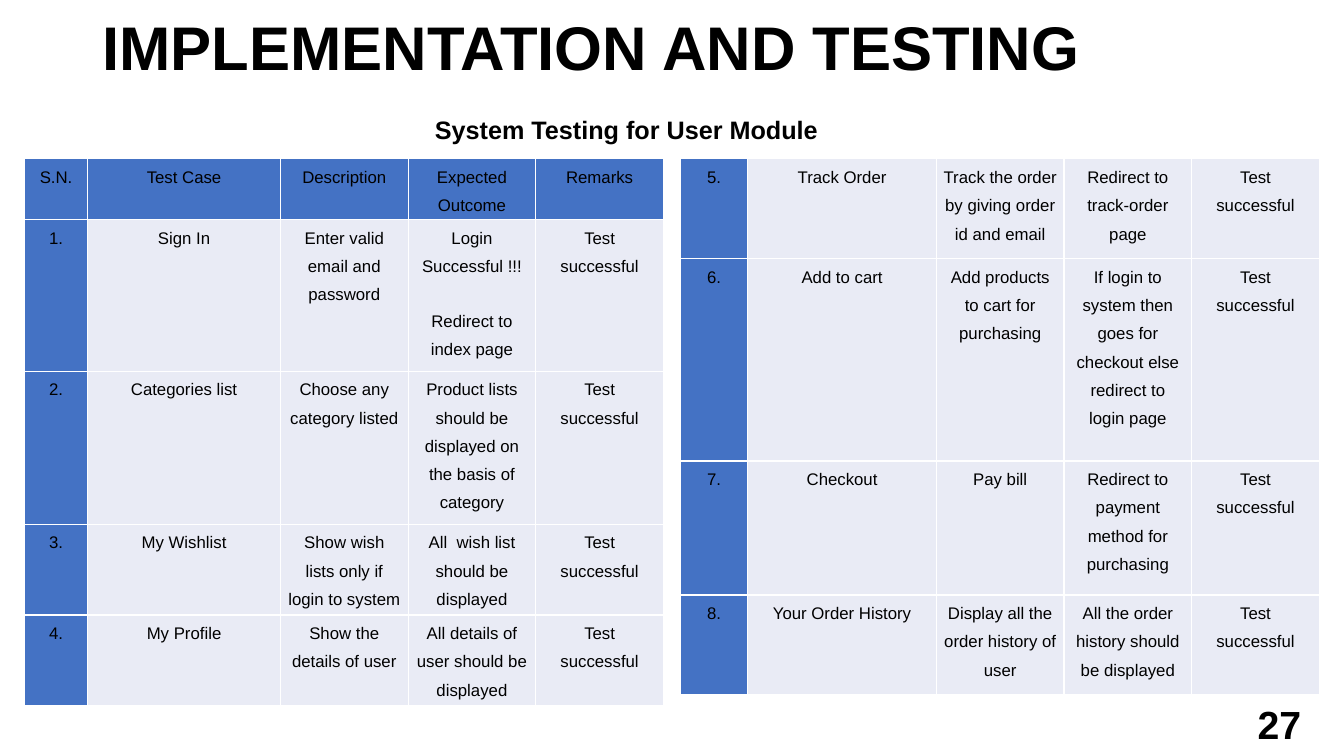
from lxml.etree import SubElement
from pptx import Presentation
from pptx.dml.color import RGBColor
from pptx.enum.text import MSO_ANCHOR, MSO_AUTO_SIZE, PP_ALIGN
from pptx.oxml.ns import qn
from pptx.util import Pt

BLACK = RGBColor(0x00, 0x00, 0x00)
WHITE = RGBColor(0xFF, 0xFF, 0xFF)
BLUE = RGBColor(0x44, 0x72, 0xC4)
PALE = RGBColor(0xE9, 0xEB, 0xF5)

PASSED = "Test successful"
OUTCOME_WIDTHS = [91.2] * 3

EARLY_TESTS = [
    ["S.N.", "Test Case", "Description", "Expected Outcome", "Remarks"],
    ["1.", "Sign In", "Enter valid email and password",
     "Login Successful !!!\nRedirect to index page", PASSED],
    ["2.", "Categories list", "Choose any category listed",
     "Product lists should be displayed on the basis of category", PASSED],
    ["3.", "My Wishlist", "Show wish lists only if login to system",
     "All  wish list should be displayed", PASSED],
    ["4.", "My Profile", "Show the details of user",
     "All details of user should be displayed", PASSED],
]
LATER_TESTS = [
    ["5.", "Track Order", "Track the order by giving order id and email",
     "Redirect to track-order page", PASSED],
    ["6.", "Add to cart", "Add products to cart for purchasing",
     "If login to system then goes for checkout else redirect to login page", PASSED],
    ["7.", "Checkout", "Pay bill",
     "Redirect to payment method for purchasing", PASSED],
    ["8.", "Your Order History", "Display all the order history of user",
     "All the order history should be displayed", PASSED],
]


def apply(target, values):
    for name, value in values.items():
        setattr(target, name, value)


class TestingPage:
    font = {"name": "Arial", "bold": True}
    cell_font = {"name": "Arial", "size": Pt(12), "bold": False}
    cell_para = {"alignment": PP_ALIGN.CENTER, "line_spacing": 1.5,
                 "space_after": Pt(19.2)}
    cell_margins = {"margin_left": Pt(5), "margin_right": Pt(5),
                    "margin_top": Pt(0), "margin_bottom": Pt(0)}

    def __init__(self, deck):
        self.page = deck.slides.add_slide(deck.slide_layouts[5])

    def fill_text(self, frame, text, font, para_format):
        frame.text = text
        for para in frame.paragraphs:
            apply(para, para_format)
            for span in para.runs:
                apply(span.font, font)
                span.font.color.rgb = BLACK

    def title(self, text, left, top, width, height, size):
        box = self.page.shapes.title
        apply(box, {"left": Pt(left), "top": Pt(top),
                    "width": Pt(width), "height": Pt(height)})
        apply(box.text_frame, {"auto_size": MSO_AUTO_SIZE.NONE, "word_wrap": True,
                               "vertical_anchor": MSO_ANCHOR.MIDDLE})
        self.fill_text(box.text_frame, text, {**self.font, "size": Pt(size)},
                       {"alignment": PP_ALIGN.LEFT, "line_spacing": 0.9})

    def text(self, text, left, top, width, height, size, align, anchor):
        box = self.page.shapes.add_textbox(Pt(left), Pt(top), Pt(width), Pt(height))
        apply(box.text_frame, {"word_wrap": True, "vertical_anchor": anchor})
        self.fill_text(box.text_frame, text, {**self.font, "size": Pt(size)},
                       {"alignment": align})

    def border(self, cell):
        properties = cell._tc.get_or_add_tcPr()
        for side in ("a:lnL", "a:lnR", "a:lnT", "a:lnB"):
            line = SubElement(properties, qn(side), w=str(Pt(1)))
            fill = SubElement(line, qn("a:solidFill"))
            SubElement(fill, qn("a:srgbClr"), val=str(WHITE))

    def table(self, rows, left, top, widths, heights, has_header):
        table = self.page.shapes.add_table(
            len(rows), len(widths), Pt(left), Pt(top),
            Pt(sum(widths)), Pt(sum(heights))).table
        apply(table, {"first_row": has_header, "first_col": True,
                      "horz_banding": False})
        for column, width in zip(table.columns, widths):
            column.width = Pt(width)
        for row, height in zip(table.rows, heights):
            row.height = Pt(height)
        for r, texts in enumerate(rows):
            for c, text in enumerate(texts):
                cell = table.cell(r, c)
                apply(cell, self.cell_margins)
                self.border(cell)
                cell.fill.solid()
                is_heading = c == 0 or (has_header and r == 0)
                cell.fill.fore_color.rgb = BLUE if is_heading else PALE
                self.fill_text(cell.text_frame, text, self.cell_font, self.cell_para)


def main():
    deck = Presentation()
    apply(deck, {"slide_width": Pt(960), "slide_height": Pt(540)})
    page = TestingPage(deck)
    page.title("IMPLEMENTATION AND TESTING", 66, 1.5, 718, 69, 44)
    page.text("27", 720.5, 502.5, 216, 29, 28, PP_ALIGN.RIGHT, MSO_ANCHOR.MIDDLE)
    page.text("System Testing for User Module", 303.5, 78, 480, 29, 18,
              PP_ALIGN.LEFT, MSO_ANCHOR.TOP)
    page.table(LATER_TESTS, 486, 113.5, [48.2, 134.7] + OUTCOME_WIDTHS,
               [71.3, 144.5, 95.8, 71.3], False)
    page.table(EARLY_TESTS, 17.5, 113.5, [45.2, 137.7] + OUTCOME_WIDTHS,
               [42.8, 108.5, 109.3, 64.6, 64.6], True)
    deck.save("out.pptx")


if __name__ == "__main__":
    main()
